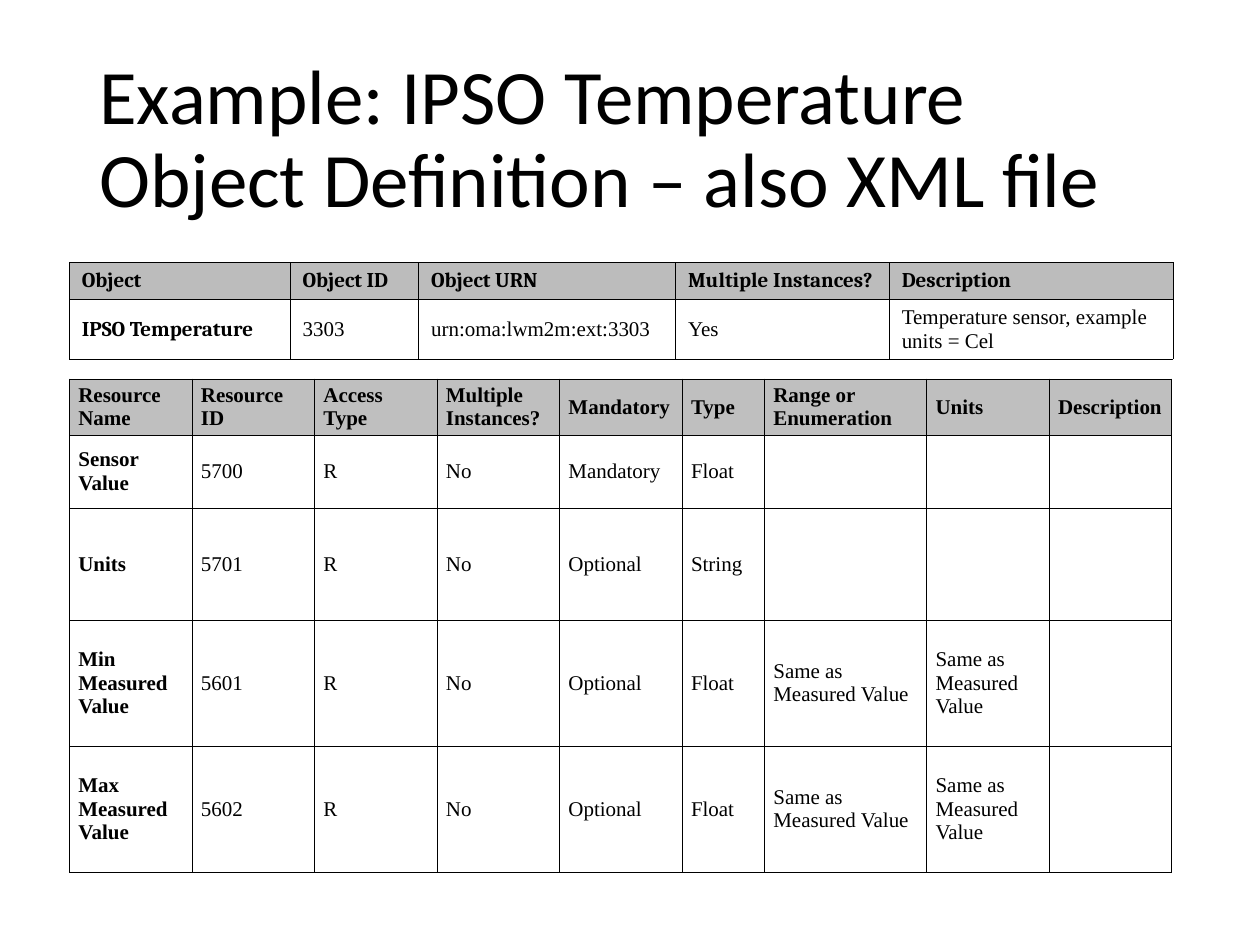
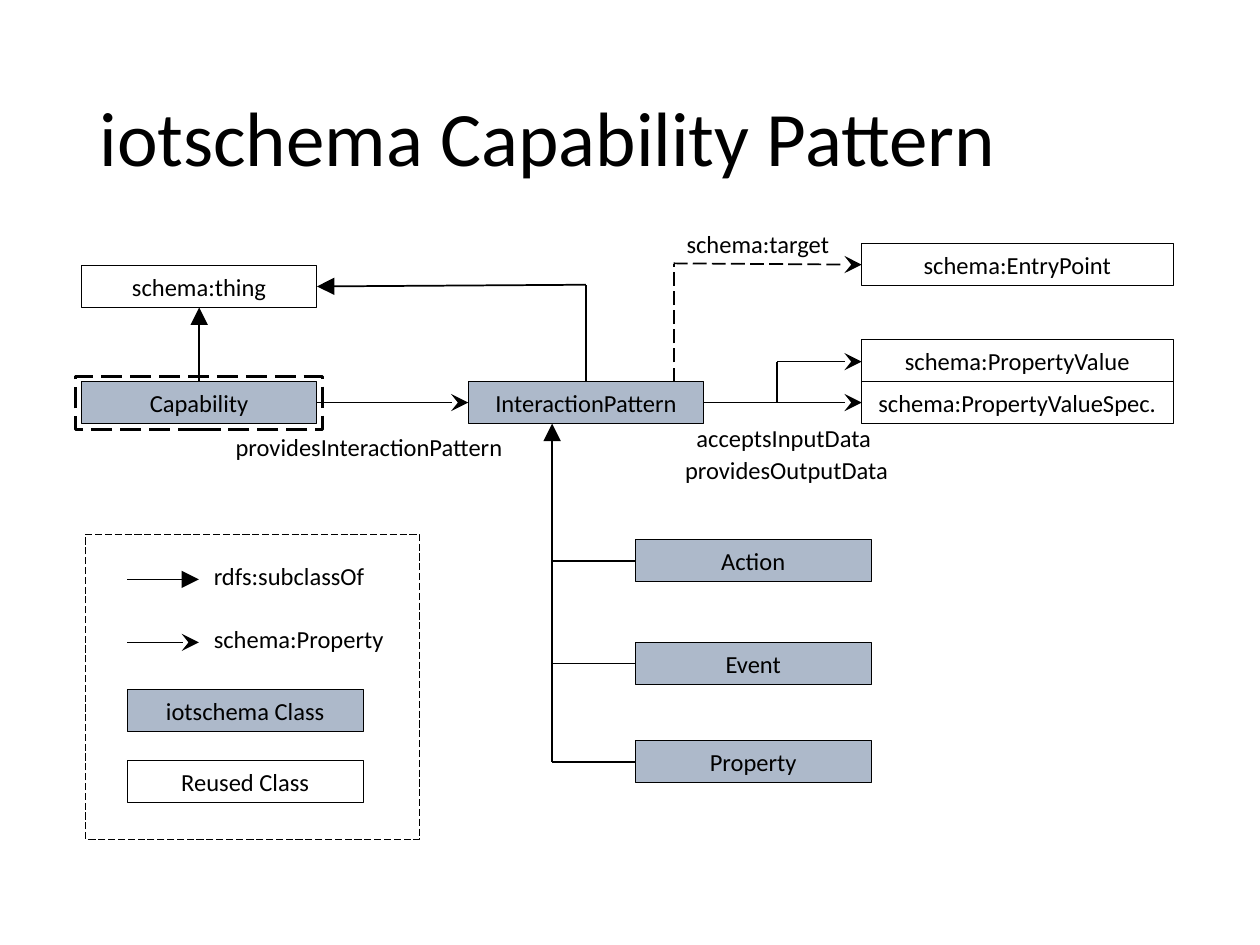
from lxml import etree
from pptx import Presentation
from pptx.dml.color import RGBColor
from pptx.enum.dml import MSO_LINE
from pptx.enum.shapes import MSO_CONNECTOR as CONN, MSO_SHAPE
from pptx.enum.text import MSO_ANCHOR as ANCHOR, MSO_AUTO_SIZE as AUTO, PP_ALIGN as ALIGN
from pptx.oxml.ns import qn
from pptx.util import Cm, Pt

BLACK = RGBColor(0x00, 0x00, 0x00)
WHITE = RGBColor(0xFF, 0xFF, 0xFF)
CLASS_BLUE = RGBColor(0xAD, 0xB9, 0xCA)
OBJECT_GREY = RGBColor(0xBC, 0xBC, 0xBC)
RESOURCE_GREY = RGBColor(0xBF, 0xBF, 0xBF)

SANS, SERIF, TIMES = "Calibri", "Cambria", "Times New Roman"
BOX_W, BOX_H = 4.75, 0.85
TOP, LEFT, BOTTOM, RIGHT = range(4)  # connection sites of a rectangle

OBJECT_ROWS = [
    ["Object", "Object ID", "Object URN", "Multiple Instances?", "Description"],
    ["IPSO Temperature", "3303", "urn:oma:lwm2m:ext:3303", "Yes",
     "Temperature sensor, example units = Cel"],
]
SAME = "Same as Measured Value"
RESOURCE_ROWS = [
    ["Resource Name", "Resource ID", "Access Type", "Multiple Instances?", "Mandatory",
     "Type", "Range or Enumeration", "Units", "Description"],
    ["Sensor Value", "5700", "R", "No", "Mandatory", "Float", "", "", ""],
    ["Units", "5701", "R", "No", "Optional", "String", "", "", ""],
    ["Min Measured Value", "5601", "R", "No", "Optional", "Float", SAME, SAME, ""],
    ["Max Measured Value", "5602", "R", "No", "Optional", "Float", SAME, SAME, ""],
]


def add_run(p, text, size, font=SANS, bold=False):
    r = p.add_run()
    r.text = text
    r.font.size = Pt(size)
    r.font.name = font
    r.font.bold = bold
    r.font.color.rgb = BLACK


def add_titled_slide(prs, title):
    slide = prs.slides.add_slide(prs.slide_layouts[5])
    sp = slide.shapes.title
    sp.left, sp.top, sp.width, sp.height = Cm(1.75), Cm(1.01), Cm(21.9), Cm(3.68)
    tf = sp.text_frame
    tf.auto_size = AUTO.NONE
    tf.word_wrap = True
    tf.vertical_anchor = ANCHOR.MIDDLE
    p = tf.paragraphs[0]
    p.alignment = ALIGN.LEFT
    p.line_spacing = 0.9
    add_run(p, title, 44)
    return slide


# Tables

def set_borders(cell, width=Pt(0.48)):
    tcPr = cell._tc.get_or_add_tcPr()
    for side in ("lnL", "lnR", "lnT", "lnB"):
        ln = etree.SubElement(tcPr, qn(f"a:{side}"), w=str(width))
        fill = etree.SubElement(ln, qn("a:solidFill"))
        etree.SubElement(fill, qn("a:srgbClr"), val=str(BLACK))


def add_grid(slide, top, col_widths, row_heights, rows, header_fill, bold_font, margins):
    """Table with a filled header row and bold first column."""
    frame = slide.shapes.add_table(len(rows), len(col_widths), Cm(1.4), Cm(top),
                                   Cm(sum(col_widths)), Cm(sum(row_heights)))
    table = frame.table
    table.first_row = table.horz_banding = False
    for column, width in zip(table.columns, col_widths):
        column.width = Cm(width)
    for row, height in zip(table.rows, row_heights):
        row.height = Cm(height)
    for i, texts in enumerate(rows):
        for j, text in enumerate(texts):
            cell = table.cell(i, j)
            set_borders(cell)
            cell.margin_left = cell.margin_right = Cm(margins[0])
            cell.margin_top = cell.margin_bottom = Cm(margins[1])
            cell.vertical_anchor = ANCHOR.MIDDLE
            if i == 0:
                cell.fill.solid()
                cell.fill.fore_color.rgb = header_fill
            else:
                cell.fill.background()
            if text:
                bold = i == 0 or j == 0
                add_run(cell.text_frame.paragraphs[0], text, 12,
                        bold_font if bold else TIMES, bold)


# Diagram elements

def add_rect(slide, left, top, width, height, fill=None, weight=0.5):
    sp = slide.shapes.add_shape(MSO_SHAPE.RECTANGLE, Cm(left), Cm(top), Cm(width), Cm(height))
    sp.shadow.inherit = False
    if fill is None:
        sp.fill.background()
    else:
        sp.fill.solid()
        sp.fill.fore_color.rgb = fill
    sp.line.color.rgb = BLACK
    sp.line.width = Pt(weight)
    return sp


def add_class(slide, text, left, top, fill=CLASS_BLUE, width=BOX_W):
    sp = add_rect(slide, left, top, width, BOX_H, fill)
    tf = sp.text_frame
    tf.word_wrap = True
    tf.vertical_anchor = ANCHOR.MIDDLE
    p = tf.paragraphs[0]
    p.alignment = ALIGN.CENTER
    add_run(p, text, 14)
    return sp


def add_dashed_frame(slide, left, top, width, height, weight):
    add_rect(slide, left, top, width, height, weight=weight).line.dash_style = MSO_LINE.LONG_DASH


def add_label(slide, text, left, top, width):
    tf = slide.shapes.add_textbox(Cm(left), Cm(top), Cm(width), Cm(0.86)).text_frame
    tf.word_wrap = False
    tf.auto_size = AUTO.SHAPE_TO_FIT_TEXT
    add_run(tf.paragraphs[0], text, 14)


def add_line(slide, start, end, head=None, dashed=False):
    """Straight line; each end is an (x, y) point in cm or a (shape, site) pair."""
    glued = [not isinstance(place[0], (int, float)) for place in (start, end)]
    x1, y1 = (0, 0) if glued[0] else start
    x2, y2 = (0, 0) if glued[1] else end
    line = slide.shapes.add_connector(CONN.STRAIGHT, Cm(x1), Cm(y1), Cm(x2), Cm(y2))
    if glued[0]:
        line.begin_connect(*start)
    if glued[1]:
        line.end_connect(*end)
    line.line.color.rgb = BLACK
    line.line.width = Pt(1)
    if dashed:
        line.line.dash_style = MSO_LINE.LONG_DASH
    if head:
        etree.SubElement(line.line._get_or_add_ln(), qn("a:tailEnd"),
                         type=head, w="lg", len="lg")
    etree.SubElement(line._element.spPr, qn("a:effectLst"))


# Slides

def build_object_definition(prs):
    slide = add_titled_slide(prs, "Example: IPSO Temperature Object Definition – also XML file")
    add_grid(slide, 5.29, [4.45, 2.59, 5.18, 4.31, 5.72], [0.74, 1.19],
             OBJECT_ROWS, OBJECT_GREY, SERIF, (0.25, 0.13))
    add_grid(slide, 7.64, [2.47] * 5 + [1.66, 3.27] + [2.47] * 2,
             [1.13, 1.47, 2.26, 2.54, 2.54],
             RESOURCE_ROWS, RESOURCE_GREY, TIMES, (0.18, 0.08))


def build_capability_pattern(prs):
    slide = add_titled_slide(prs, "iotschema Capability Pattern")
    main_y, schema_x, schema_w = 7.69, 17.37, 6.28

    # Classes
    thing = add_class(slide, "schema:thing", 1.64, 5.35, WHITE)
    capability = add_class(slide, "Capability", 1.64, main_y)
    pattern = add_class(slide, "InteractionPattern", 9.44, main_y)
    add_class(slide, "schema:PropertyValue", schema_x, main_y - BOX_H, WHITE, schema_w)
    value_spec = add_class(slide, "schema:PropertyValueSpec.", schema_x, main_y, WHITE, schema_w)
    entry = add_class(slide, "schema:EntryPoint", schema_x, 4.91, WHITE, schema_w)

    # Subclasses hang on a trunk below the interaction pattern
    trunk_x = 11.13
    for name, top in (("Action", 10.88), ("Event", 12.95), ("Property", 14.93)):
        kind = add_class(slide, name, 12.81, top)
        trunk_end = (trunk_x, top + BOX_H / 2)
        add_line(slide, trunk_end, (kind, LEFT))
    add_line(slide, trunk_end, (trunk_x, main_y + BOX_H), "triangle")

    # Subclass arrows to schema:thing
    add_line(slide, (capability, TOP), (thing, BOTTOM), "triangle")
    add_line(slide, (11.81, main_y), (11.81, 5.74))
    add_line(slide, (11.81, 5.74), (thing, RIGHT), "triangle")

    # Property arrows
    add_line(slide, (capability, RIGHT), (pattern, LEFT), "stealth")
    add_line(slide, (pattern, RIGHT), (value_spec, LEFT), "stealth")
    add_line(slide, (15.67, 8.1), (15.67, 7.29))
    add_line(slide, (15.67, 7.29), (schema_x, 7.29), "stealth")
    add_line(slide, (13.58, main_y), (13.58, 5.33), dashed=True)
    add_line(slide, (13.58, 5.31), (entry, LEFT), "stealth", dashed=True)

    # Property names
    add_label(slide, "schema:target", 13.59, 4.5, 3.43)
    add_label(slide, "providesInteractionPattern", 4.5, 8.59, 5.99)
    add_label(slide, "acceptsInputData", 13.79, 8.41, 4.06)
    add_label(slide, "providesOutputData", 13.56, 9.04, 4.65)

    # Legend
    legend_x = 2.57
    for text, head, y, width in (("rdfs:subclassOf", "triangle", 11.68, 3.58),
                                 ("schema:Property", "stealth", 12.95, 3.96)):
        add_line(slide, (legend_x, y), (4.01, y), head)
        add_label(slide, text, 4.06, y - 0.49, width)
    add_class(slide, "iotschema Class", legend_x, 13.9)
    add_class(slide, "Reused Class", legend_x, 15.33, WHITE)

    # Dashed frames around the legend and the capability
    add_dashed_frame(slide, 1.73, 10.77, 6.73, 6.15, 0.5)
    add_dashed_frame(slide, 1.52, 7.59, 4.98, 1.07, 1.5)


def main():
    prs = Presentation()
    prs.slide_width, prs.slide_height = Cm(25.4), Cm(19.05)
    build_object_definition(prs)
    build_capability_pattern(prs)
    prs.save("out.pptx")


if __name__ == "__main__":
    main()
